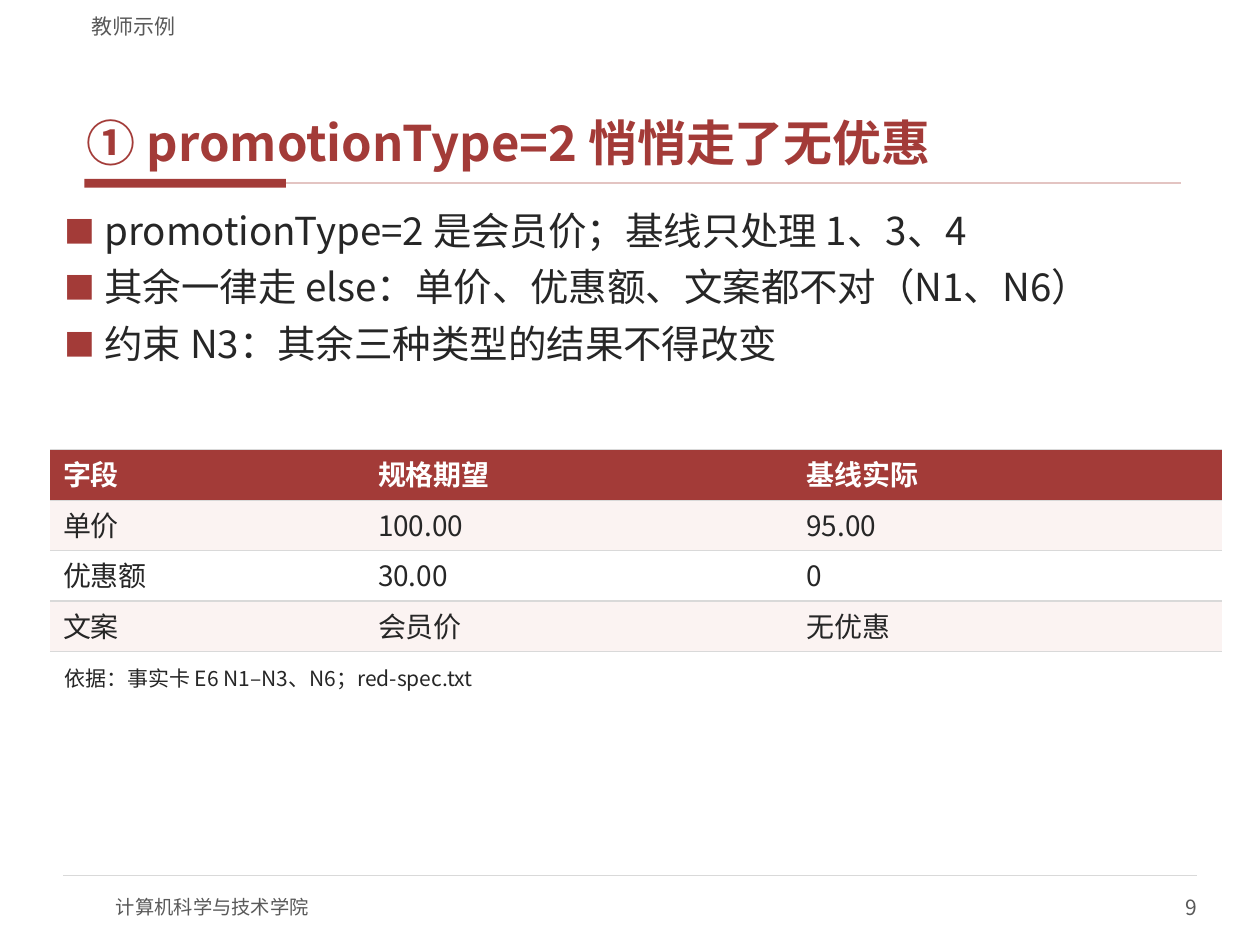
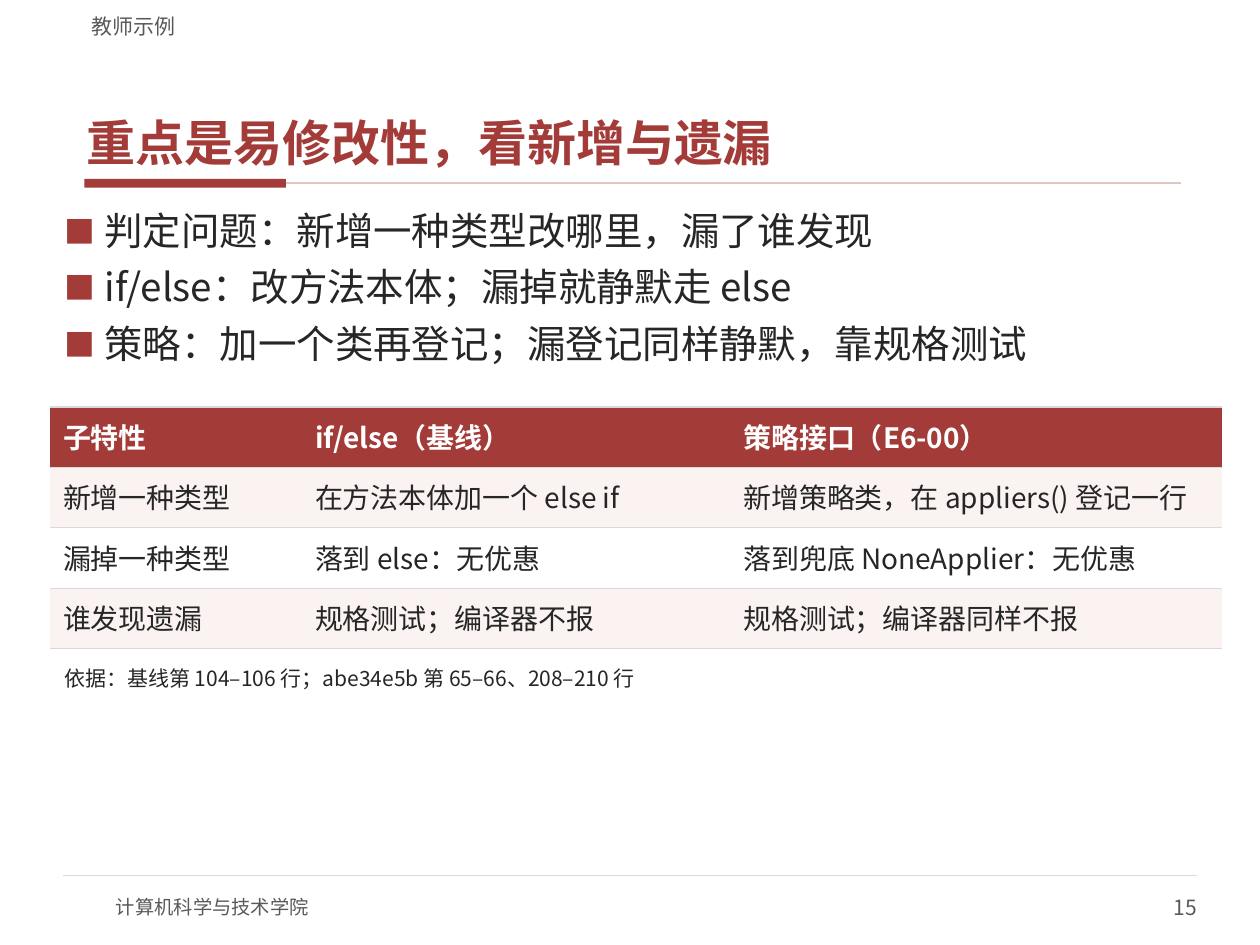
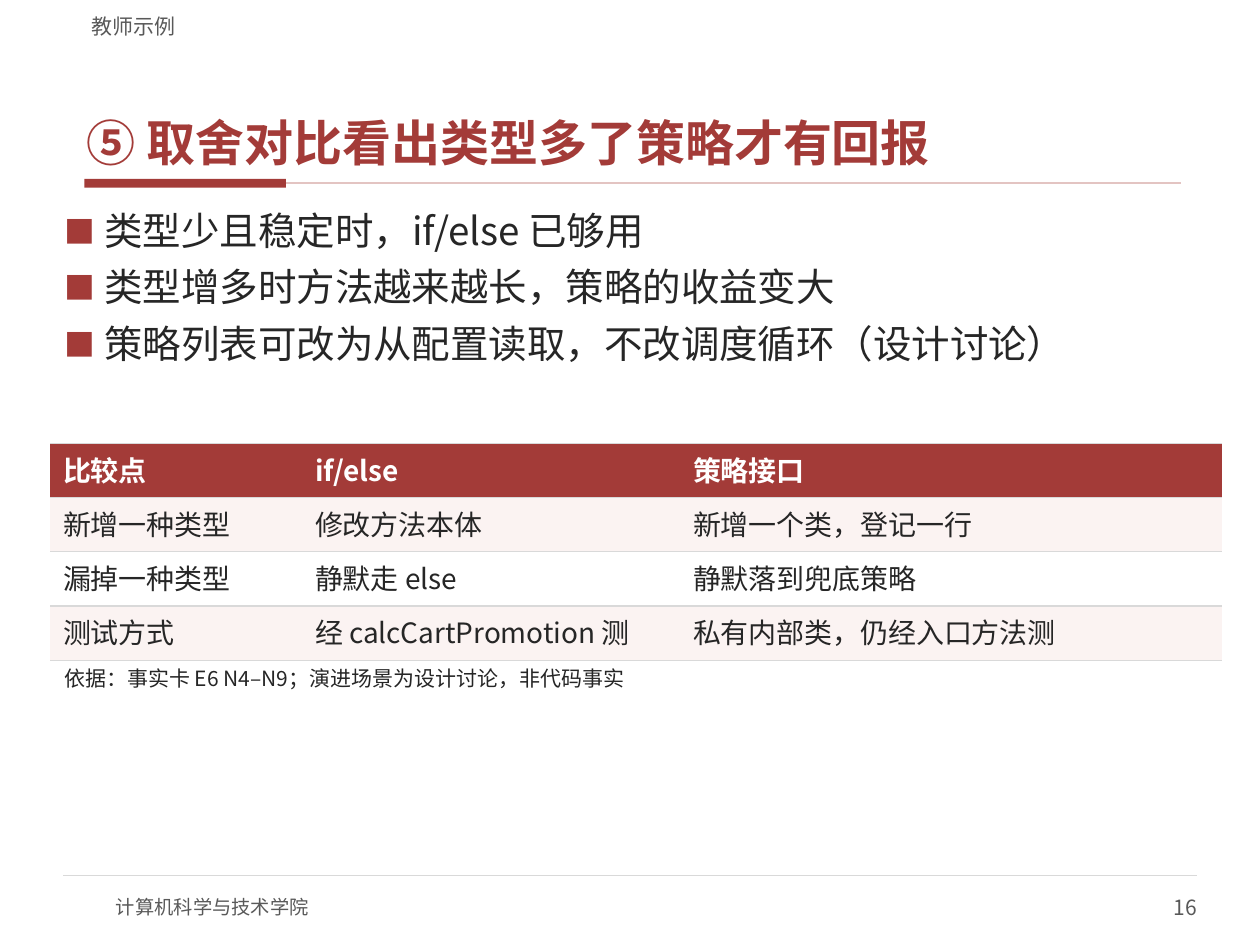
from dataclasses import dataclass

from lxml.etree import SubElement
from pptx import Presentation
from pptx.dml.color import RGBColor
from pptx.enum.shapes import MSO_CONNECTOR, MSO_SHAPE
from pptx.enum.text import MSO_ANCHOR, MSO_AUTO_SIZE, PP_ALIGN
from pptx.oxml.ns import qn
from pptx.util import Inches, Pt

RED = RGBColor(0xA3, 0x3B, 0x38)
ROSE = RGBColor(0xE3, 0xC4, 0xC2)
BLUSH = RGBColor(0xFB, 0xF3, 0xF2)
WHITE = RGBColor(0xFF, 0xFF, 0xFF)
INK = RGBColor(0x26, 0x26, 0x26)
GRAY = RGBColor(0x59, 0x59, 0x59)
RULE = RGBColor(0xD9, 0xD9, 0xD9)
FONT = "Noto Sans CJK SC"

TAG_BOX = (0.63, 0.04, 8.75, 0.27)
TITLE_BOX = (0.63, 0.33, 8.75, 1.05)
ACCENT_BOX = (0.67, 1.42, 8.7, 0.07)
FOOTER_BOX = (0.5, 6.95, 9, 0.45)
NOTE_BOX = (0.45, 5.26, 9.1, 0.5)
BULLETS_LEFT, BULLETS_TOP, BULLETS_WIDTH = 0.45, 1.62, 9.1
TABLE_LEFT = 0.4
TEXT_INSETS = (0.06, 0.02)


@dataclass
class Lesson:
    """Content of one slide with bullets above a comparison table."""
    number: int
    title: str
    bullets: list
    bullets_height: float
    table_top: float
    row_height: float
    column_widths: tuple
    rows: list
    note: str


LESSONS = [
    Lesson(
        9, "① promotionType=2 悄悄走了无优惠",
        ["promotionType=2 是会员价；基线只处理 1、3、4",
         "其余一律走 else：单价、优惠额、文案都不对（N1、N6）",
         "约束 N3：其余三种类型的结果不得改变"],
        1.86, 3.57, 0.4, (2.5, 3.4, 3.4),
        [("字段", "规格期望", "基线实际"),
         ("单价", "100.00", "95.00"),
         ("优惠额", "30.00", "0"),
         ("文案", "会员价", "无优惠")],
        "依据：事实卡 E6 N1–N3、N6；red-spec.txt"),
    Lesson(
        15, "重点是易修改性，看新增与遗漏",
        ["判定问题：新增一种类型改哪里，漏了谁发现",
         "if/else：改方法本体；漏掉就静默走 else",
         "策略：加一个类再登记；漏登记同样静默，靠规格测试"],
        1.42, 3.23, 0.48, (2, 3.4, 3.9),
        [("子特性", "if/else（基线）", "策略接口（E6-00）"),
         ("新增一种类型", "在方法本体加一个 else if", "新增策略类，在 appliers() 登记一行"),
         ("漏掉一种类型", "落到 else：无优惠", "落到兜底 NoneApplier：无优惠"),
         ("谁发现遗漏", "规格测试；编译器不报", "规格测试；编译器同样不报")],
        "依据：基线第 104–106 行；abe34e5b 第 65–66、208–210 行"),
    Lesson(
        16, "⑤ 取舍对比看出类型多了策略才有回报",
        ["类型少且稳定时，if/else 已够用",
         "类型增多时方法越来越长，策略的收益变大",
         "策略列表可改为从配置读取，不改调度循环（设计讨论）"],
        1.86, 3.52, 0.43, (2, 3, 4.3),
        [("比较点", "if/else", "策略接口"),
         ("新增一种类型", "修改方法本体", "新增一个类，登记一行"),
         ("漏掉一种类型", "静默走 else", "静默落到兜底策略"),
         ("测试方式", "经 calcCartPromotion 测", "私有内部类，仍经入口方法测")],
        "依据：事实卡 E6 N4–N9；演进场景为设计讨论，非代码事实"),
]


def style_runs(para, size, color, bold=False):
    """Format every run of a paragraph, in Latin and East Asian script."""
    for span in para.runs:
        span.font.size = Pt(size)
        span.font.bold = bold
        span.font.color.rgb = color
        span.font.name = FONT
        SubElement(span.font._element, qn("a:ea"), typeface=FONT)


def prepare_frame(shape, box, insets, anchor):
    """Place a text shape and return its text frame, ready to fill."""
    shape.left, shape.top, shape.width, shape.height = map(Inches, box)
    frame = shape.text_frame
    frame.word_wrap = True
    frame.auto_size = MSO_AUTO_SIZE.NONE
    frame.vertical_anchor = anchor
    frame.margin_left = frame.margin_right = Inches(insets[0])
    frame.margin_top = frame.margin_bottom = Inches(insets[1])
    return frame


def add_label(page, box, text, size, color, insets=(0, 0),
              anchor=MSO_ANCHOR.MIDDLE, align=PP_ALIGN.LEFT):
    """Add a one-paragraph text box."""
    shape = page.shapes.add_textbox(*map(Inches, box))
    frame = prepare_frame(shape, box, insets, anchor)
    frame.text = text
    para = frame.paragraphs[0]
    para.alignment = align
    style_runs(para, size, color)


def add_rule(page, left, right, y, color, width):
    """Add a horizontal line without shadow."""
    rule = page.shapes.add_connector(
        MSO_CONNECTOR.STRAIGHT, Inches(left), Inches(y), Inches(right), Inches(y))
    rule.line.color.rgb = color
    rule.line.width = Pt(width)
    SubElement(rule._element.spPr, qn("a:effectLst"))
    return rule


def add_accent(page, box):
    """Draw the red bar under the title and the thin rule that continues it."""
    left, top, width, height = box
    bar_width = 1.6
    bar = page.shapes.add_shape(
        MSO_SHAPE.RECTANGLE, *map(Inches, (left, top, bar_width, height)))
    bar.shadow.inherit = False
    bar.fill.solid()
    bar.fill.fore_color.rgb = RED
    bar.line.fill.background()
    rule = add_rule(page, left + bar_width, left + width, top + height / 2, ROSE, 1)
    rule.begin_connect(bar, 3)


def add_footer(page, box, number):
    """Draw the footer rule, the school name and the page number."""
    left, top, width, height = box
    label_top, label_height = top + 0.05, height - 0.05
    add_rule(page, left, left + width, top, RULE, 0.75)
    add_label(page, (left + 0.42, label_top, 4, label_height),
              "计算机科学与技术学院", 11, GRAY)
    add_label(page, (left + width - 2, label_top, 2, label_height),
              str(number), 12, GRAY, align=PP_ALIGN.RIGHT)


def fill_title(page, box, text):
    """Fill the title placeholder."""
    frame = prepare_frame(page.shapes.title, box, TEXT_INSETS, MSO_ANCHOR.BOTTOM)
    frame.text = text
    para = frame.paragraphs[0]
    para.alignment = PP_ALIGN.LEFT
    para.space_after = Pt(2)
    style_runs(para, 28, RED, bold=True)


def add_bullet(para):
    """Give a paragraph a hanging red square."""
    properties = para._p.get_or_add_pPr()
    properties.set("marL", str(Inches(0.32)))
    properties.set("indent", str(Inches(-0.32)))
    color = SubElement(properties, qn("a:buClr"))
    SubElement(color, qn("a:srgbClr"), val=str(RED))
    SubElement(properties, qn("a:buSzPct"), val="80000")
    SubElement(properties, qn("a:buFont"), typeface=FONT)
    SubElement(properties, qn("a:buChar"), char="■")


def fill_bullets(page, box, items):
    """Fill the body placeholder with a bulleted list."""
    frame = prepare_frame(page.placeholders[1], box, TEXT_INSETS, MSO_ANCHOR.TOP)
    frame.text = "\n".join(items)
    for index, para in enumerate(frame.paragraphs):
        add_bullet(para)
        para.space_before = Pt(4 if index else 0)
        para.space_after = Pt(2)
        style_runs(para, 22, INK)


def set_cell_borders(cell):
    """Draw gray lines above and below a cell and none at its sides."""
    properties = cell._tc.get_or_add_tcPr()
    for side in ("lnL", "lnR"):
        SubElement(SubElement(properties, qn(f"a:{side}"), w="0"), qn("a:noFill"))
    for side in ("lnT", "lnB"):
        line = SubElement(properties, qn(f"a:{side}"), w=str(Pt(0.75)))
        fill = SubElement(line, qn("a:solidFill"))
        SubElement(fill, qn("a:srgbClr"), val=str(RULE))


def add_comparison(page, left, top, row_height, column_widths, rows):
    """Add a table with a red header and alternating row fills."""
    box = (left, top, sum(column_widths), row_height * len(rows))
    table = page.shapes.add_table(
        len(rows), len(column_widths), *map(Inches, box)).table
    table.horz_banding = False
    for column, width in zip(table.columns, column_widths):
        column.width = Inches(width)
    for row_index, texts in enumerate(rows):
        header = row_index == 0
        fill = RED if header else (WHITE, BLUSH)[row_index % 2]
        table.rows[row_index].height = Inches(row_height)
        for cell, text in zip(table.rows[row_index].cells, texts):
            set_cell_borders(cell)
            cell.fill.solid()
            cell.fill.fore_color.rgb = fill
            cell.vertical_anchor = MSO_ANCHOR.MIDDLE
            cell.text_frame.text = text
            para = cell.text_frame.paragraphs[0]
            para.line_spacing = 0.9
            para.space_after = Pt(2)
            style_runs(para, 16, WHITE if header else INK, bold=header)


def add_lesson(deck, lesson):
    """Build one slide: frame, title, bullets, table and source note."""
    page = deck.slides.add_slide(deck.slide_layouts[1])
    add_accent(page, ACCENT_BOX)
    add_footer(page, FOOTER_BOX, lesson.number)
    fill_title(page, TITLE_BOX, lesson.title)
    bullets_box = (BULLETS_LEFT, BULLETS_TOP, BULLETS_WIDTH, lesson.bullets_height)
    fill_bullets(page, bullets_box, lesson.bullets)
    add_comparison(page, TABLE_LEFT, lesson.table_top, lesson.row_height,
                   lesson.column_widths, lesson.rows)
    add_label(page, NOTE_BOX, lesson.note, 12, INK, TEXT_INSETS, MSO_ANCHOR.TOP)
    add_label(page, TAG_BOX, "教师示例", 12, GRAY, (0.1, 0), MSO_ANCHOR.BOTTOM)


def main():
    """Build the deck and save it."""
    deck = Presentation()
    deck.slide_width, deck.slide_height = Inches(10), Inches(7.5)
    for lesson in LESSONS:
        add_lesson(deck, lesson)
    deck.save("out.pptx")


if __name__ == "__main__":
    main()
